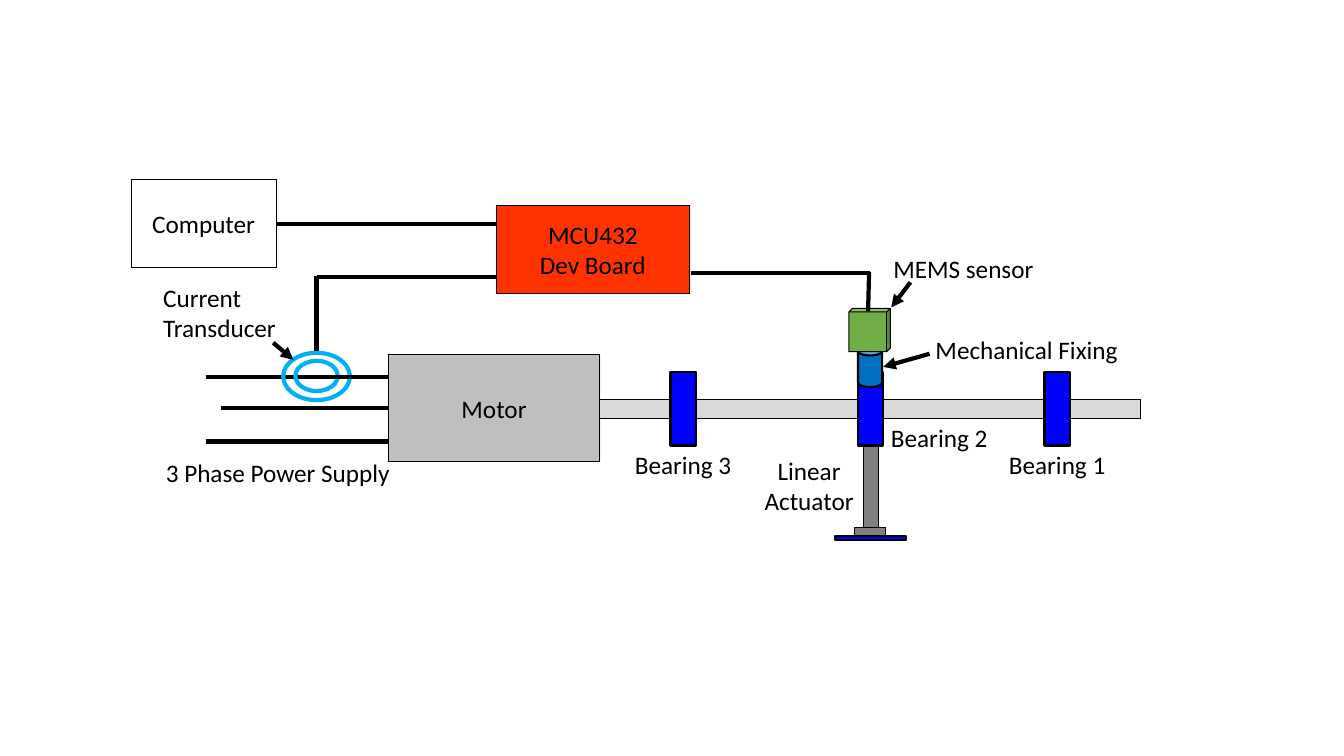
from lxml import etree
from pptx import Presentation
from pptx.dml.color import RGBColor
from pptx.enum.shapes import MSO_CONNECTOR, MSO_SHAPE as Shape
from pptx.enum.text import MSO_ANCHOR, PP_ALIGN as Align
from pptx.oxml.ns import qn
from pptx.util import Inches, Pt

color = RGBColor.from_string
BLACK, BLUE, GRAY, CYAN = "000000", "0000FF", "808080", "00B0F0"

deck = Presentation()
deck.slide_width, deck.slide_height = Inches(13.33), Inches(7.5)
slide = deck.slides.add_slide(deck.slide_layouts[6])
shapes = slide.shapes


def add_part(parent, kind, place, fill, line=BLACK, width=0.75, depth=0):
    """Add an outlined part; depth is the shape adjustment, None if it has none."""
    part = parent.add_shape(kind, *map(Inches, place))
    part.shadow.inherit = False
    if depth is not None:
        part.adjustments[0] = depth
    if fill:
        part.fill.solid()
        part.fill.fore_color.rgb = color(fill)
    else:
        part.fill.background()
    part.line.color.rgb = color(line)
    part.line.width = Pt(width)
    return part


def add_wire(x1, y1, x2, y2, arrow=False):
    wire = shapes.add_connector(MSO_CONNECTOR.STRAIGHT, *map(Inches, (x1, y1, x2, y2)))
    wire.line.color.rgb = color(BLACK)
    wire.line.width = Pt(3)
    if arrow:
        etree.SubElement(wire.line._get_or_add_ln(), qn("a:tailEnd"), type="triangle")
    etree.SubElement(wire._element.spPr, qn("a:effectLst"))


# Drive train
motor = add_part(shapes, Shape.CUBE, (3.85, 3.52, 2.1, 1.06), "BFBFBF")
add_part(shapes, Shape.CUBE, (5.95, 3.96, 5.36, 0.19), "D9D9D9")
for left in (6.65, 8.51, 10.36):
    add_part(shapes, Shape.CUBE, (left, 3.69, 0.25, 0.73), BLUE, width=1.5)

# Sensor on its fixing
sensor = shapes.add_group_shape().shapes
add_part(sensor, Shape.CAN, (8.51, 3.44, 0.24, 0.4), "0070C0", width=1.5, depth=0.36)
add_part(sensor, Shape.CUBE, (8.42, 3.06, 0.41, 0.43), "70AD47", depth=0.085)

# Power supply with the current transducer around one phase
for left, y in ((2.04, 3.74), (2.19, 4.05), (2.04, 4.38)):
    add_wire(left, y, 3.85, y)
transducer = shapes.add_group_shape().shapes
for place in ((2.93, 3.58, 0.42, 0.3), (2.81, 3.5, 0.66, 0.47)):
    add_part(transducer, Shape.OVAL, place, None, CYAN, 3, None)
add_wire(3.14, 3.74, 3.69, 3.74)

# Control and signal wiring
board = add_part(shapes, Shape.CUBE, (4.92, 2.04, 1.92, 0.87), "FF3300")
computer = add_part(shapes, Shape.CUBE, (1.3, 1.78, 1.44, 0.87), "FFFFFF")
for ends in (
    (3.14, 2.75, 4.92, 2.75),
    (3.14, 3.48, 3.14, 2.74),
    (6.85, 2.71, 8.63, 2.71),
    (8.61, 3.09, 8.62, 2.7),
    (2.74, 2.22, 4.92, 2.22),
):
    add_wire(*ends)

# Pointers from labels to parts
for ends in (
    (2.71, 3.4, 2.91, 3.57),
    (9.03, 2.8, 8.84, 3.05),
    (9.22, 3.51, 8.76, 3.64),
):
    add_wire(*ends, arrow=True)

# Linear actuator
actuator = shapes.add_group_shape().shapes
add_part(actuator, Shape.CUBE, (8.56, 4.43, 0.15, 0.8), GRAY)
add_part(actuator, Shape.CUBE, (8.48, 5.23, 0.3, 0.09), GRAY)
add_part(actuator, Shape.CUBE, (8.28, 5.32, 0.71, 0.04), BLUE, width=1.5)

# Wording
texts = [
    (motor, "Motor", Align.CENTER),
    (board, "MCU432\nDev Board", Align.CENTER),
    (computer, "Computer", Align.CENTER),
]
for box in (motor, board, computer):
    box.text_frame.word_wrap = False
    box.text_frame.vertical_anchor = MSO_ANCHOR.MIDDLE

for place, wording, align in (
    ((1.51, 4.49, 2.49, 0.4), "3 Phase Power Supply", Align.CENTER),
    ((1.52, 2.75, 1.41, 0.71), "Current Transducer", Align.LEFT),
    ((8.71, 2.46, 1.69, 0.4), "MEMS sensor", Align.CENTER),
    ((9.18, 3.27, 2.05, 0.4), "Mechanical Fixing", Align.LEFT),
    ((5.93, 4.41, 1.69, 0.4), "Bearing 3", Align.CENTER),
    ((8.47, 4.14, 1.69, 0.4), "Bearing 2", Align.CENTER),
    ((9.64, 4.41, 1.69, 0.4), "Bearing 1", Align.CENTER),
    ((7.18, 4.47, 1.69, 0.71), "Linear Actuator", Align.CENTER),
):
    label = shapes.add_textbox(*map(Inches, place))
    label.text_frame.word_wrap = True
    texts.append((label, wording, align))

for box, wording, align in texts:
    box.text_frame.text = wording
    for para in box.text_frame.paragraphs:
        para.alignment = align
        for span in para.runs:
            span.font.name = "Calibri"
            span.font.size = Pt(18)
            span.font.color.rgb = color(BLACK)

deck.save("out.pptx")
